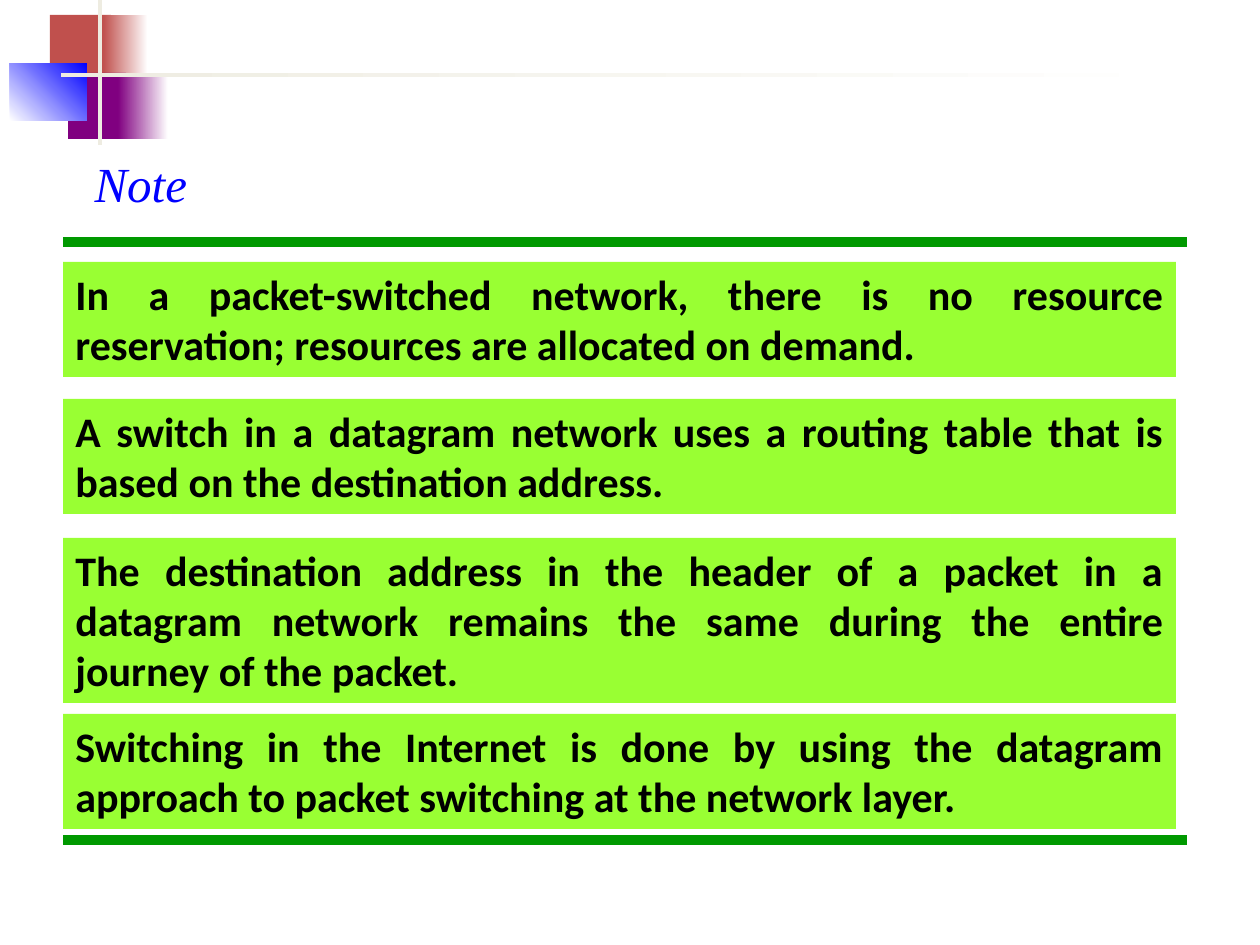
"""Build a slide of notes on packet-switched networks."""
import pptx
import pptx.util
import pptx.dml.color
import pptx.enum.shapes
import pptx.enum.text
import lxml.etree

TITLE = "Note"
NOTES = [
    (262, 115, "In a packet-switched network, there is no resource reservation; "
               "resources are allocated on demand."),
    (399, 115, "A switch in a datagram network uses a routing table that is "
               "based on the destination address."),
    (538, 165, "The destination address in the header of a packet in a datagram "
               "network remains the same during the entire journey of the packet."),
    (714, 115, "Switching in the Internet is done by using the datagram approach "
               "to packet switching at the network layer."),
]
DECOR = [
    ((50, 15, 61, 66), ["C0504D"], 0),
    ((103, 15, 45, 66), ["C0504D", "FFFFFF"], 0),
    ((68, 73, 58, 66), ["800080"], 0),
    ((118, 73, 50, 66), ["800080", "FFFFFF"], 0),
    ((10, 63, 77, 58), ["FFFFFF", "0000FF"], 45),
    ((98, 0, 4, 145), ["EEECE1"], 0),
    ((61, 73, 1134, 4), ["EEECE1", "FFFFFF"], 0),
]
RULES = [242, 840]
LEFT, WIDTH, RIGHT = 63, 1113, 1187
ALIGN = pptx.enum.text.PP_ALIGN


def px(num):
    return pptx.util.Emu(round(num * 914400 / 126))


def color(code):
    return pptx.dml.color.RGBColor.from_string(code)


def add_box(slide, place, fills, angle=0):
    kind = pptx.enum.shapes.MSO_SHAPE.RECTANGLE
    box = slide.shapes.add_shape(kind, *map(px, place))
    box.shadow.inherit = False
    box.line.fill.background()
    if len(fills) == 1:
        box.fill.solid()
        box.fill.fore_color.rgb = color(fills[0])
    else:
        box.fill.gradient()
        box.fill.gradient_angle = angle
        for stop, code in zip(box.fill.gradient_stops, fills):
            stop.color.rgb = color(code)
    return box


def add_rule(slide, y):
    kind = pptx.enum.shapes.MSO_CONNECTOR.STRAIGHT
    rule = slide.shapes.add_connector(kind, px(LEFT), px(y), px(RIGHT), px(y))
    rule.line.width = pptx.util.Pt(6)
    rule.line.color.rgb = color("009900")
    props = rule._element.spPr
    lxml.etree.SubElement(props, pptx.oxml.ns.qn("a:effectLst"))


def write(shape, text, face, size, code, align, wrap=True):
    frame = shape.text_frame
    frame.word_wrap = wrap
    frame.auto_size = pptx.enum.text.MSO_AUTO_SIZE.SHAPE_TO_FIT_TEXT
    frame.vertical_anchor = pptx.enum.text.MSO_ANCHOR.TOP
    para = frame.paragraphs[0]
    para.alignment = align
    run = para.add_run()
    run.text = text
    run.font.name = face
    run.font.size = pptx.util.Pt(size)
    run.font.color.rgb = color(code)
    return run.font


def main():
    deck = pptx.Presentation()
    deck.slide_width, deck.slide_height = px(1260), px(945)
    slide = deck.slides.add_slide(deck.slide_layouts[5])
    title = slide.shapes.title
    title.left, title.top, title.width, title.height = map(px, (82, 147, 121, 72))
    font = write(title, TITLE, "Times New Roman", 28, "0000FF", ALIGN.LEFT, False)
    font.italic = True
    for place, fills, angle in DECOR:
        add_box(slide, place, fills, angle)
    for y in RULES:
        add_rule(slide, y)
    for top, height, text in NOTES:
        box = add_box(slide, (LEFT, top, WIDTH, height), ["99FF33"])
        font = write(box, text, "Calibri", 24, "000000", ALIGN.JUSTIFY)
        font.bold = True
    deck.save("out.pptx")


if __name__ == "__main__":
    main()
